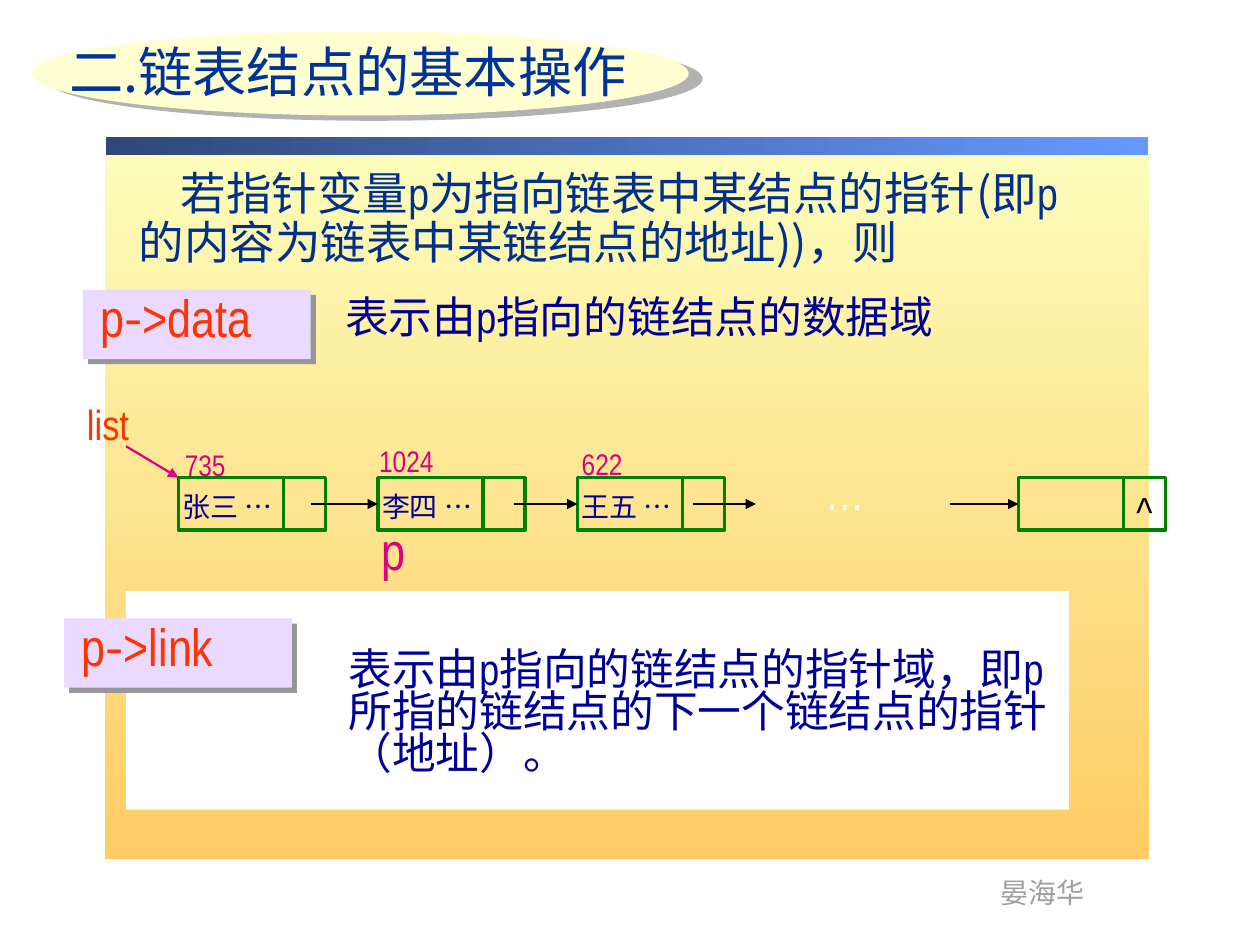
from dataclasses import dataclass

from pptx import Presentation
from pptx.dml.color import RGBColor
from pptx.enum.shapes import MSO_CONNECTOR, MSO_SHAPE
from pptx.enum.text import MSO_ANCHOR, MSO_AUTO_SIZE, PP_ALIGN
from pptx.oxml import parse_xml
from pptx.oxml.ns import nsdecls, qn
from pptx.oxml.xmlchemy import OxmlElement
from pptx.util import Inches, Pt


@dataclass(frozen=True)
class Theme:
    wide: str = "Noto Sans CJK SC"
    slim: str = "Arial Narrow"
    title: str = "003399"
    body: str = "002F8C"
    navy: str = "000099"
    pink: str = "DC0081"
    red: str = "FF3300"
    green: str = "008000"
    black: str = "000000"
    white: str = "FFFFFF"
    grey: str = "9F9F9F"
    lilac: str = "ECD9FF"
    cream: str = "FFFFD1"
    dim: str = "969696"
    pale: str = "B2B2B2"
    panel: tuple = ("FCFEBC", "FFCC66")
    bar: tuple = ("2F4778", "6699FF")
    head: int = 31
    code: int = 30
    dots: int = 28
    lead: int = 26
    note: int = 25
    label: int = 24
    mark: int = 17
    small: int = 16


T = Theme()
COLS = 120
UNIT = Inches(10) / COLS
ROW, HIGH = 45.5, 5
DATA, LINK = 10, 4
MID = ROW + HIGH / 2
NODES = (17, 36, 55, 97)


def grid(*cells):
    return [round(c * UNIT) for c in cells]


def rgb(code):
    return RGBColor.from_string(code)


def write(frame, text, size, color, align=None, gap=None, anchor=MSO_ANCHOR.TOP,
          wrap=True, first=None):
    """Bars in the text switch between the wide and the slim font."""
    frame.word_wrap = wrap
    frame.auto_size = MSO_AUTO_SIZE.NONE
    frame.vertical_anchor = anchor
    for i, line in enumerate(text.split("\n")):
        para = frame.add_paragraph() if i else frame.paragraphs[0]
        if first is not None:
            props = para._p.get_or_add_pPr()
            props.set("marL", "0")
            props.set("indent", str(0 if i else grid(first)[0]))
            props.append(OxmlElement("a:buNone"))
        para.space_before = Pt(0)
        para.alignment = align
        para.line_spacing = gap
        for j, part in enumerate(line.split("|")):
            if not part:
                continue
            run = para.add_run()
            run.text = part
            run.font.size = Pt(size)
            run.font.color.rgb = rgb(color)
            run.font.name = T.slim if j % 2 else T.wide
            asian = OxmlElement("a:ea")
            asian.set("typeface", T.wide)
            run._r.get_or_add_rPr().append(asian)


def label(slide, box, text, size, color, **form):
    shape = slide.shapes.add_textbox(*grid(*box))
    write(shape.text_frame, text, size, color, **form)


def center(slide, box, text, size, color, **form):
    label(slide, box, text, size, color, align=PP_ALIGN.CENTER, wrap=False, **form)


def hold(slide, index, box, text, size, color, **form):
    shape = slide.placeholders[index]
    shape.left, shape.top, shape.width, shape.height = grid(*box)
    slide.shapes._spTree.append(shape._element)
    write(shape.text_frame, text, size, color, **form)


def block(slide, box, fill=None, edge=None, kind=MSO_SHAPE.RECTANGLE):
    shape = slide.shapes.add_shape(kind, *grid(*box))
    shape.shadow.inherit = False
    if fill:
        shape.fill.solid()
        shape.fill.fore_color.rgb = rgb(fill)
    else:
        shape.fill.background()
    if edge:
        shape.line.color.rgb = rgb(edge)
        shape.line.width = Pt(2)
    else:
        shape.line.fill.background()
    return shape


def blend(slide, box, pair, angle):
    shape = block(slide, box)
    shape.fill.gradient()
    shape.fill.gradient_angle = angle
    for stop, color in zip(shape.fill.gradient_stops, pair):
        stop.color.rgb = rgb(color)


def shade(shape, color, dist, angle):
    shape._element.spPr.find(qn("a:effectLst")).append(parse_xml(
        f'<a:outerShdw {nsdecls("a")} dist="{Pt(dist)}" dir="{angle * 60000}" '
        f'algn="ctr" rotWithShape="0"><a:srgbClr val="{color}"/></a:outerShdw>'))


def arrow(slide, ends, color, width, goal=None):
    line = slide.shapes.add_connector(MSO_CONNECTOR.STRAIGHT, *grid(*ends))
    line.line.color.rgb = rgb(color)
    line.line.width = Pt(width)
    tip = OxmlElement("a:tailEnd")
    tip.set("type", "triangle")
    line.line._get_or_add_ln().append(tip)
    line._element.spPr.append(OxmlElement("a:effectLst"))
    if goal is not None:
        line.end_connect(goal, 1)


def tag(slide, x, y, text):
    shade(block(slide, (x, y, 21.7, 6.6), T.lilac), T.dim, 4.2, 45)
    label(slide, (x + 0.5, y - 1, 24.5, 7.2), text, T.code, T.red)


def chain(slide):
    label(slide, (7.1, 37.4, 10.4, 6), "|list", T.label, T.red,
          anchor=MSO_ANCHOR.MIDDLE)
    arrow(slide, (12, 42.5, NODES[0], ROW), T.pink, 1.25)
    center(slide, (NODES[3] + DATA, 45.6, LINK, 6.1), "|^", T.label, T.black,
           anchor=MSO_ANCHOR.MIDDLE)
    for x, y, wide, text in ((34.7, 41.6, 8, "|1024"), (16.2, 42, 6.7, "|735"),
                             (54, 41.9, 6.7, "|622")):
        center(slide, (x, y, wide, 4.6), text, T.mark, T.pink)
    cells = []
    for x in NODES:
        cells.append(block(slide, (x, ROW, DATA, HIGH), edge=T.green))
        block(slide, (x + DATA, ROW, LINK, HIGH), edge=T.green)
    for x, end, goal in ((29.6, NODES[1], cells[1]), (49, NODES[2], cells[2]),
                         (66, 72, None), (90.5, NODES[3], cells[3])):
        arrow(slide, (x, MID, end, MID), T.black, 1.5, goal)
    center(slide, (76.9, 43.4, 7.1, 6.8), "|…", T.dots, T.white)
    for x, name in zip(NODES, ("张三", "李四", "王五")):
        label(slide, (x - 0.8, 46, 15.3, 4.4), f"|{name} |…", T.small, T.navy)
    center(slide, (35.3, 48.7, 4.3, 5.2), "|p", T.code, T.pink)


def main():
    deck = Presentation()
    deck.slide_width, deck.slide_height = Inches(10), Inches(7.5)
    slide = deck.slides.add_slide(deck.slide_layouts[1])

    blend(slide, (10, 13.2, 99.4, 68.6), T.panel, 270)
    blend(slide, (10.1, 13, 99.2, 1.8), T.bar, 0)
    label(slide, (94.1, 82.8, 10.4, 4.4), "|晏海华", T.small, T.grey, wrap=False)
    hold(slide, 1, (12, 15.7, 108, 10.6),
         "若指针变量|p|为指向链表中某结点的指针(即|p\n的内容为链表中某链结点的地址))，则",
         T.lead, T.body, gap=0.9, first=4)
    label(slide, (31.7, 28, 82, 5.3), "表示由|p|指向的链结点的数据域",
          T.note, T.navy, gap=0.8, align=PP_ALIGN.JUSTIFY)
    chain(slide)
    oval = block(slide, (3, 3, 62.6, 8), T.cream, kind=MSO_SHAPE.OVAL)
    shade(oval, T.pale, 8.5, 21)
    hold(slide, 0, (5.4, 3, 60, 8), "二.链表结点的基本操作", T.head, T.title,
         align=PP_ALIGN.LEFT)
    tag(slide, 7.9, 27.6, "|p|-|>data")
    block(slide, (12, 56.3, 89.8, 20.8), T.white)
    tag(slide, 6.1, 58.9, "|p|-|>link")
    label(slide, (32, 61.4, 70.6, 13.3),
          "表示由|p|指向的链结点的指针域|，|即|p|所指的链结点的下一个链结点的指针（地址）|。",
          T.note, T.navy, gap=0.8, anchor=MSO_ANCHOR.MIDDLE)
    deck.save("out.pptx")


if __name__ == "__main__":
    main()
